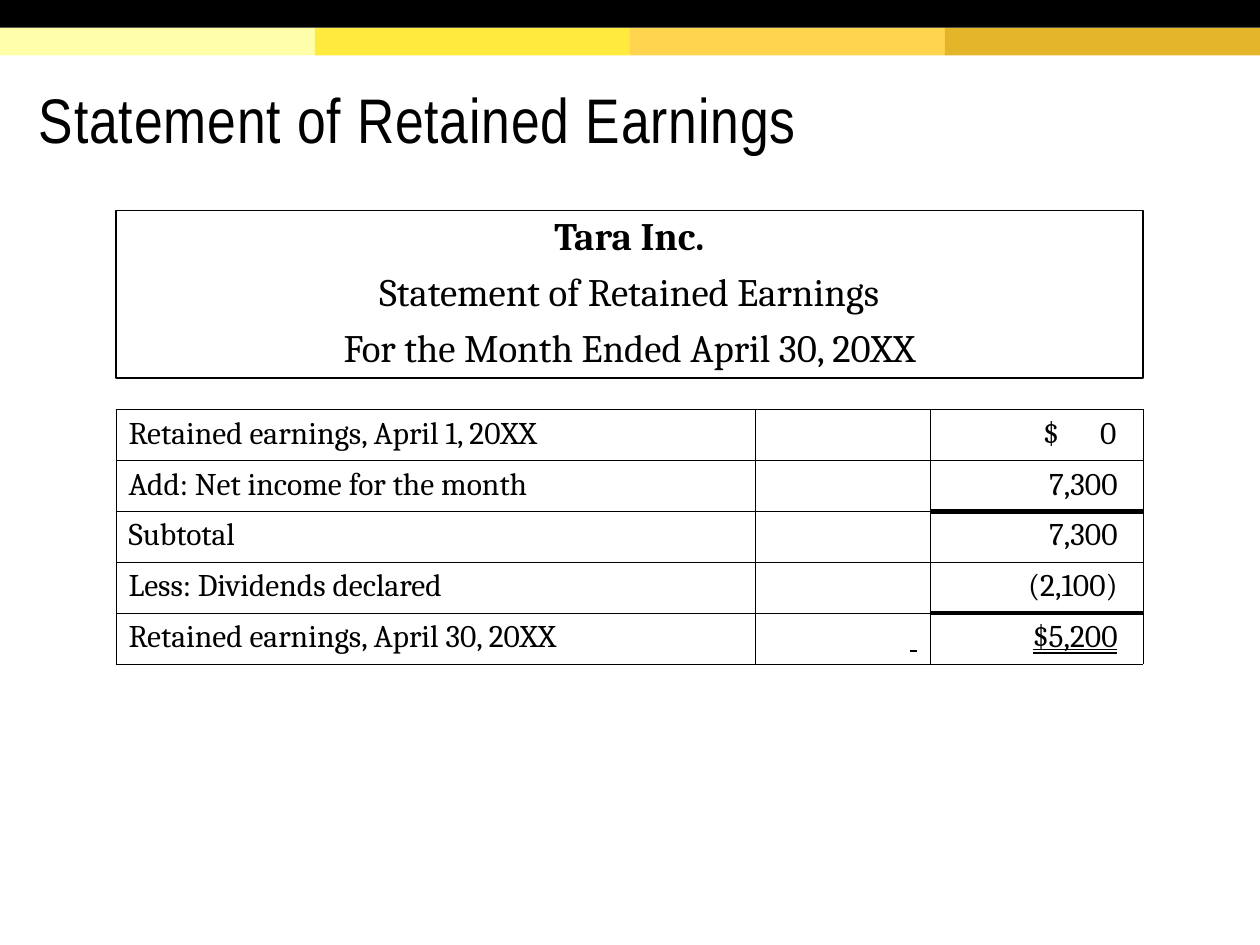
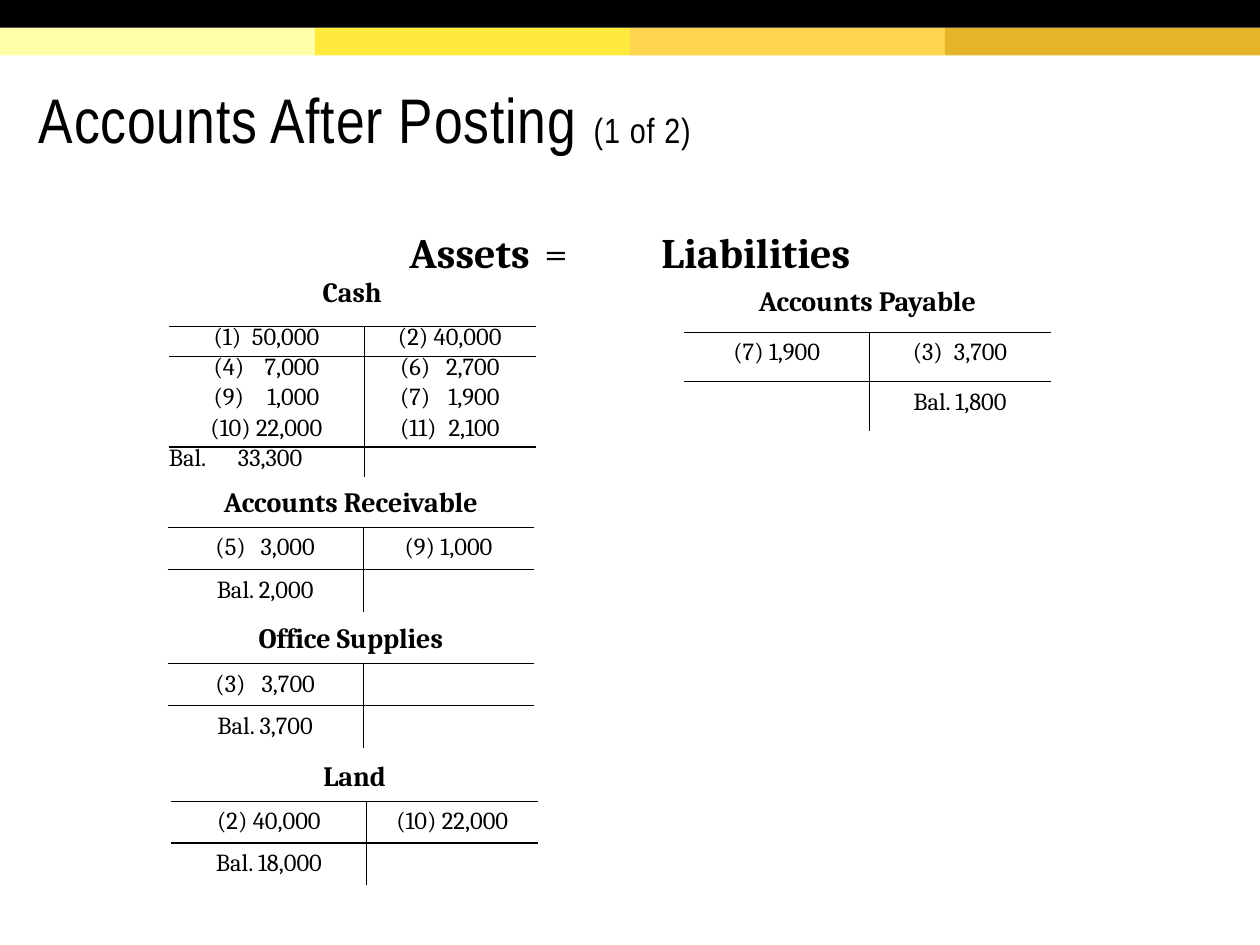
from dataclasses import dataclass

from lxml import etree
from pptx import Presentation
from pptx.dml.color import RGBColor
from pptx.enum.shapes import MSO_SHAPE
from pptx.enum.text import MSO_ANCHOR, MSO_UNDERLINE, PP_ALIGN
from pptx.oxml.ns import qn
from pptx.util import Inches, Pt

RECT = MSO_SHAPE.RECTANGLE
TOP, MIDDLE = MSO_ANCHOR.TOP, MSO_ANCHOR.MIDDLE
LEFT, CENTER, RIGHT = PP_ALIGN.LEFT, PP_ALIGN.CENTER, PP_ALIGN.RIGHT
DOUBLE = MSO_UNDERLINE.DOUBLE_LINE

BLACK = "000000"
BAND_COLORS = ("FFFFAA", "FFEA3D", "FFD54F", "E4B429")
TITLE_FONT, BODY_FONT = "Arial Narrow", "Cambria"
BAND_HEIGHT = 0.22
HAIR, RULE, THICK = 0.25, 1, 3
PAD, SIDE_PAD = 0.05, 0.1


@dataclass
class Entry:
    """Cell text; a tab pushes the amount to the right end of `spread`."""
    text: str = ""
    align: PP_ALIGN = CENTER
    spread: float = 0
    start: float | None = None
    bold: bool = False
    underline: MSO_UNDERLINE | bool = False
    right_pad: float = SIDE_PAD


@dataclass
class Account:
    name: str
    left: float
    top: float
    cols: tuple[float, float]
    heights: list[float]
    entries: list[tuple[Entry, Entry]]
    rules: dict[int, float]
    tight: bool = False


def rgb(color: str) -> RGBColor:
    return RGBColor.from_string(color)


def add_run(p, text: str, *, size: float, font: str = BODY_FONT, bold: bool = False,
            underline=False, spacing: float = 0) -> None:
    r = p.add_run()
    r.text = text
    f = r.font
    f.name, f.size, f.bold = font, Pt(size), bold
    f.color.rgb = rgb(BLACK)
    if underline:
        f.underline = underline
    if spacing:
        r._r.get_or_add_rPr().set("spc", str(int(spacing * 100)))


def add_tabs(p, stops: list[tuple[float, str]]) -> None:
    tabs = etree.SubElement(p._p.get_or_add_pPr(), qn("a:tabLst"))
    for pos, align in stops:
        etree.SubElement(tabs, qn("a:tab"), pos=str(Inches(pos)), algn=align)


def add_box(slide, left: float, top: float, width: float, height: float, anchor=TOP):
    s = slide.shapes.add_textbox(Inches(left), Inches(top), Inches(width), Inches(height))
    s.text_frame.word_wrap = True
    s.text_frame.vertical_anchor = anchor
    return s


def add_band(slide, left: float, top: float, width: float, color: str) -> None:
    s = slide.shapes.add_shape(RECT, Inches(left), Inches(top), Inches(width),
                               Inches(BAND_HEIGHT))
    s.shadow.inherit = False
    s.fill.solid()
    s.fill.fore_color.rgb = rgb(color)
    s.line.fill.background()


def add_titled_slide(prs, title: str, part: str = ""):
    slide = prs.slides.add_slide(prs.slide_layouts[6])
    # Colour bands
    width = 10 / len(BAND_COLORS)
    for i, color in enumerate(BAND_COLORS):
        add_band(slide, i * width, BAND_HEIGHT, width, color)
    add_band(slide, 0, 0, 10, BLACK)
    # Title
    tf = add_box(slide, 0.21, 0.47, 9.49, 0.98, MIDDLE).text_frame
    tf.margin_top = Inches(0.1)
    p = tf.paragraphs[0]
    p.line_spacing = 0.85
    add_run(p, title, size=36, font=TITLE_FONT, spacing=0.5)
    if part:
        add_run(p, part, size=20, font=TITLE_FONT, spacing=0.5)
    return slide


def set_borders(cell, widths: dict[str, float]) -> None:
    tc_pr = cell._tc.get_or_add_tcPr()
    for i, (side, width) in enumerate(widths.items()):
        ln = etree.Element(qn(f"a:ln{side}"), w=str(Pt(width)))
        if width:
            fill = etree.SubElement(ln, qn("a:solidFill"))
            etree.SubElement(fill, qn("a:srgbClr"), val=BLACK)
        else:
            etree.SubElement(ln, qn("a:noFill"))
        tc_pr.insert(i, ln)


def fill_cell(cell, entry: Entry, width: float, size: float, tight: bool = False) -> None:
    pad, side = (0, 0) if tight else (PAD, SIDE_PAD)
    left, right = side, 0 if tight else entry.right_pad
    p = cell.text_frame.paragraphs[0]
    p.alignment = LEFT if entry.spread else entry.align
    if tight:
        p.line_spacing = 0.85
    if entry.spread:
        left = (width - entry.spread) / 2 if entry.start is None else entry.start
        right = 0
        add_tabs(p, [(entry.spread, "r")])
    cell.margin_left, cell.margin_right = Inches(left), Inches(right)
    cell.margin_top = cell.margin_bottom = Inches(pad)
    if entry.text:
        add_run(p, entry.text, size=size, bold=entry.bold, underline=entry.underline)
    else:
        p._p.get_or_add_endParaRPr().set("sz", str(size * 100))


def add_grid(slide, left: float, top: float, cols, heights,
             across: dict[tuple[int, int], float], down: dict[tuple[int, int], float]):
    """Rule widths: across is keyed (line, column), down is keyed (row, line)."""
    tbl = slide.shapes.add_table(len(heights), len(cols), Inches(left), Inches(top),
                                 Inches(sum(cols)), Inches(sum(heights))).table
    tbl.first_row = tbl.horz_banding = False
    for c, width in enumerate(cols):
        tbl.columns[c].width = Inches(width)
    for r, height in enumerate(heights):
        tbl.rows[r].height = Inches(height)
        for c in range(len(cols)):
            cell = tbl.cell(r, c)
            cell.fill.background()
            set_borders(cell, {"L": down.get((r, c), 0), "R": down.get((r, c + 1), 0),
                               "T": across.get((r, c), 0), "B": across.get((r + 1, c), 0)})
    return tbl


def add_account(slide, account: Account) -> None:
    across = {(line, c): w for line, w in account.rules.items() for c in range(2)}
    down = {(r, 1): HAIR for r in range(1, len(account.heights))}
    tbl = add_grid(slide, account.left, account.top, account.cols, account.heights,
                   across, down)
    tbl.cell(0, 0).merge(tbl.cell(0, 1))
    fill_cell(tbl.cell(0, 0), Entry(account.name, bold=True), sum(account.cols), 16)
    fill_cell(tbl.cell(0, 1), Entry(), account.cols[1], 14)
    for r, pair in enumerate(account.entries, 1):
        for c, entry in enumerate(pair):
            fill_cell(tbl.cell(r, c), entry, account.cols[c], 14, account.tight)


def build_statement(prs) -> None:
    slide = add_titled_slide(prs, "Statement of Retained Earnings")
    # Statement heading
    s = add_box(slide, 0.92, 1.67, 8.15, 1.33)
    s.line.color.rgb = rgb(BLACK)
    s.line.width = Pt(RULE)
    tf = s.text_frame
    heading = ("Tara Inc.", "Statement of Retained Earnings",
               "For the Month Ended April 30, 20XX")
    for i, text in enumerate(heading):
        p = tf.add_paragraph() if i else tf.paragraphs[0]
        p.alignment, p.line_spacing, p.space_after = CENTER, 0.9, Pt(8)
        add_run(p, text, size=22.2, bold=i == 0)

    # Statement lines
    def amount(text: str, underline=False) -> Entry:
        return Entry(text, RIGHT, underline=underline, right_pad=0.2)

    lines = [
        ("Retained earnings, April 1, 20XX", Entry(), Entry("$\t0", spread=0.58, start=0.9)),
        ("Add: Net income for the month", Entry(), amount("7,300")),
        ("Subtotal", Entry(), amount("7,300")),
        ("Less: Dividends declared", Entry(), amount("(2,100)")),
        ("Retained earnings, April 30, 20XX", Entry(" ", RIGHT, underline=True),
         amount("$5,200", DOUBLE)),
    ]
    cols, n = (5.07, 1.39, 1.69), len(lines)
    across = {(line, c): HAIR for line in range(n + 1) for c in range(3)}
    across.update({(2, 2): THICK, (4, 2): THICK})
    down = {(r, line): HAIR for r in range(n) for line in range(4)}
    tbl = add_grid(slide, 0.92, 3.25, cols, [2.02 / n] * n, across, down)
    for r, (label, *rest) in enumerate(lines):
        for c, entry in enumerate((Entry(label, LEFT), *rest)):
            fill_cell(tbl.cell(r, c), entry, cols[c], 18)


def build_accounts(prs) -> None:
    slide = add_titled_slide(prs, "Accounts After Posting ", "(1 of 2)")

    # Accounting equation
    tf = add_box(slide, 0.5, 1.75, 9, 0.5).text_frame
    tf.margin_left = Inches(2.75)
    p = tf.paragraphs[0]
    p.space_after = Pt(8)
    add_tabs(p, [(1.07, "l"), (2, "l")])
    for text, bold in (("Assets", True), ("\t=\t", False), ("Liabilities", True)):
        add_run(p, text, size=24, bold=bold)

    # T-accounts
    asset_cols, asset_heights = (1.55, 1.36), [0.35, 0.32, 0.32]
    rules = {1: HAIR, 2: RULE}
    debit, credit = 0.84, 0.79
    accounts = [
        Account("Cash", 1.34, 2.15, asset_cols, [0.44] + [0.24] * 5, [
            (Entry("(1)\t50,000", spread=debit), Entry("(2) 40,000")),
            (Entry("(4)\t7,000", spread=debit), Entry("(6)\t2,700", spread=credit)),
            (Entry("(9)\t1,000", spread=debit), Entry("(7)\t1,900", spread=credit)),
            (Entry("(10) 22,000"), Entry("(11)\t2,100", spread=credit)),
            (Entry("Bal.\t33,300", spread=1.06, start=0), Entry()),
        ], {1: HAIR, 2: HAIR, 5: RULE}, tight=True),
        Account("Accounts Receivable", 1.33, 3.82, asset_cols, asset_heights, [
            (Entry("(5)\t3,000", spread=0.79), Entry("(9) 1,000")),
            (Entry("Bal. 2,000"), Entry()),
        ], rules),
        Account("Office Supplies", 1.33, 4.9, asset_cols, asset_heights, [
            (Entry("(3)\t3,700", spread=0.79), Entry()),
            (Entry("Bal. 3,700"), Entry()),
        ], rules),
        Account("Land", 1.36, 5.99, asset_cols, asset_heights, [
            (Entry("(2) 40,000"), Entry("(10) 22,000")),
            (Entry("Bal. 18,000"), Entry()),
        ], rules),
        Account("Accounts Payable", 5.43, 2.22, (1.47, 1.44), [0.42, 0.39, 0.39], [
            (Entry("(7) 1,900"), Entry("(3)\t3,700", spread=0.75)),
            (Entry(), Entry("Bal. 1,800")),
        ], rules),
    ]
    for account in accounts:
        add_account(slide, account)


def main() -> None:
    prs = Presentation()
    prs.slide_width, prs.slide_height = Inches(10), Inches(7.5)
    build_statement(prs)
    build_accounts(prs)
    prs.save("out.pptx")


if __name__ == "__main__":
    main()
